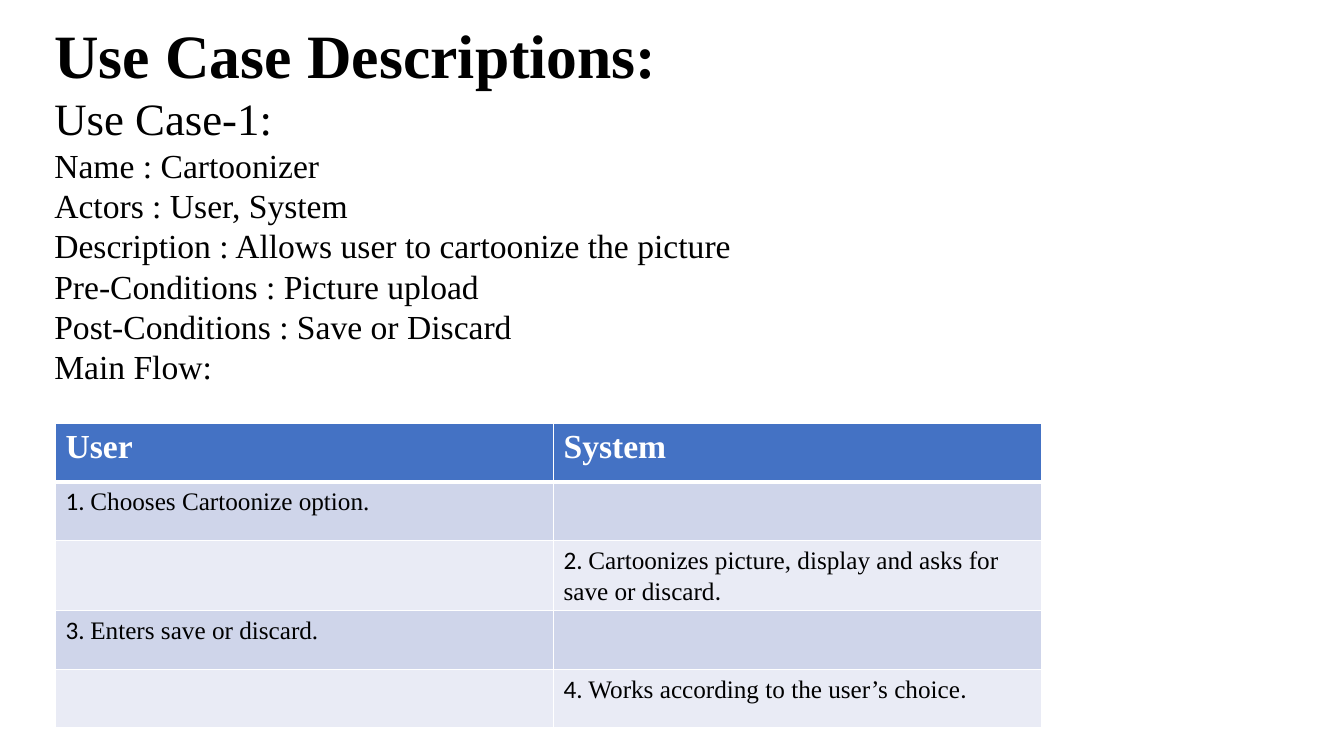
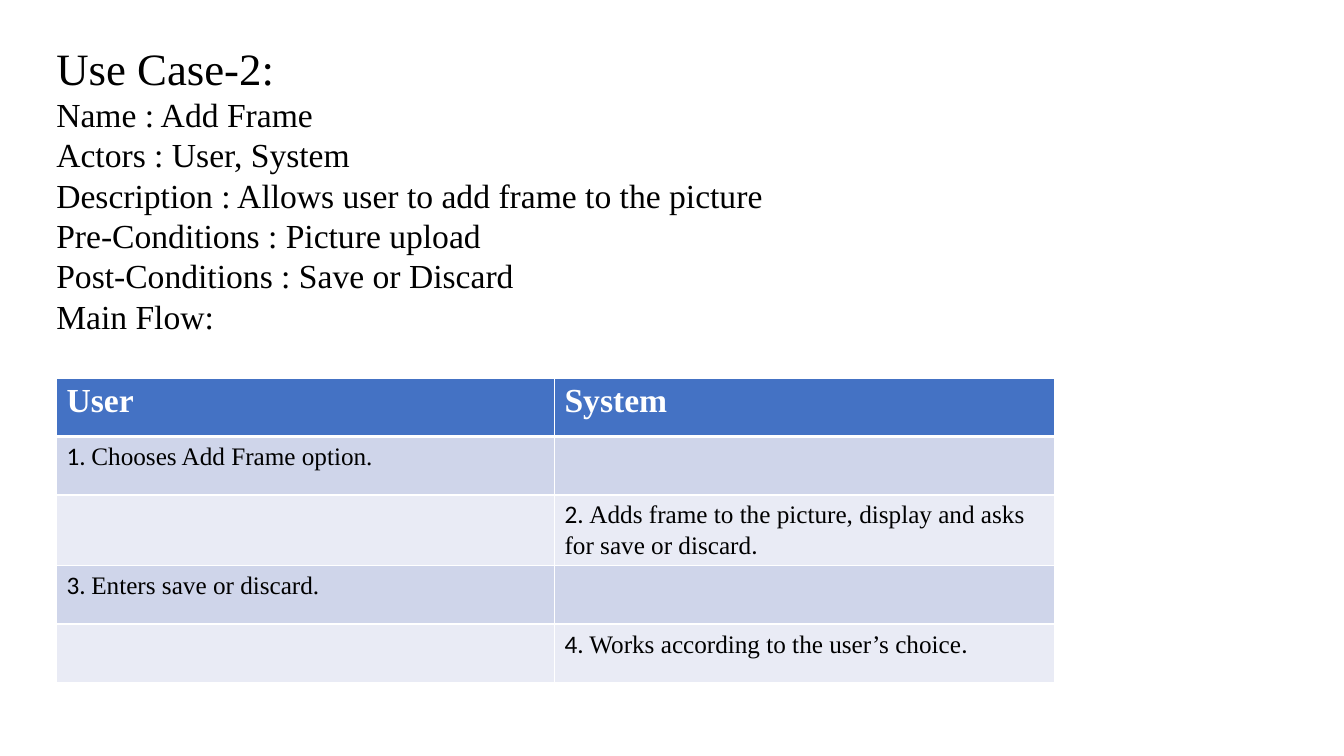
from dataclasses import dataclass

from lxml import etree
from pptx import Presentation
from pptx.dml.color import RGBColor
from pptx.oxml.ns import qn
from pptx.util import Inches, Pt


@dataclass(frozen=True)
class Theme:
    black: RGBColor = RGBColor(0x00, 0x00, 0x00)
    white: RGBColor = RGBColor(0xFF, 0xFF, 0xFF)
    header: RGBColor = RGBColor(0x44, 0x72, 0xC4)
    bands: tuple = (RGBColor(0xCF, 0xD5, 0xEA), RGBColor(0xE9, 0xEB, 0xF5))
    font: str = "Times New Roman"
    number_font: str = "Calibri"
    title: int = 44
    heading: int = 32
    body: int = 24
    step: int = 18
    rule: int = 1
    header_rule: int = 3


THEME = Theme()
BLANK_LAYOUT = 6
ACTORS = ("User", "System")
ROW_HEIGHT = 0.58


def set_font(font, size, color=THEME.black, bold=False):
    font.name = THEME.font
    font.size = Pt(size)
    font.color.rgb = color
    font.bold = bold


def add_description(slide, at, lines):
    """Add a text box of (text, size, bold) lines."""
    tf = slide.shapes.add_textbox(*map(Inches, at)).text_frame
    tf.word_wrap = True
    for i, (text, size, bold) in enumerate(lines):
        p = tf.paragraphs[0] if i == 0 else tf.add_paragraph()
        p.text = text
        set_font(p.font, size, bold=bold)


def style_cell(cell, fill, bottom=THEME.rule, top=THEME.rule):
    """Draw white borders, then fill the cell."""
    tcPr = cell._tc.get_or_add_tcPr()
    widths = {"lnL": THEME.rule, "lnR": THEME.rule, "lnT": top, "lnB": bottom}
    for side, width in widths.items():
        ln = etree.SubElement(tcPr, qn("a:" + side), w=str(Pt(width)))
        line_fill = etree.SubElement(ln, qn("a:solidFill"))
        etree.SubElement(line_fill, qn("a:srgbClr"), val=str(THEME.white))
    cell.fill.solid()
    cell.fill.fore_color.rgb = fill


def write_step(cell, number, text, stop_font):
    """Write a numbered step; number and full stop have their own fonts."""
    p = cell.text_frame.paragraphs[0]
    set_font(p.font, THEME.step)
    parts = ((f"{number}. ", THEME.number_font), (text, THEME.font), (".", stop_font))
    for part, font_name in parts:
        r = p.add_run()
        r.text = part
        set_font(r.font, THEME.step)
        r.font.name = font_name


def add_flow_table(slide, left, top, widths, steps):
    """Add the main flow: steps alternate between user and system."""
    rows = len(steps) + 1
    table = slide.shapes.add_table(
        rows, len(ACTORS), Inches(left), Inches(top),
        Inches(sum(widths)), Inches(ROW_HEIGHT * rows)).table
    for column, width in zip(table.columns, widths):
        column.width = Inches(width)
    for row in table.rows:
        row.height = Inches(ROW_HEIGHT)

    # Header row
    for col, actor in enumerate(ACTORS):
        cell = table.cell(0, col)
        style_cell(cell, THEME.header, bottom=THEME.header_rule)
        p = cell.text_frame.paragraphs[0]
        p.text = actor
        set_font(p.font, THEME.body, THEME.white, bold=True)

    # Step rows
    stop_fonts = (THEME.font, THEME.number_font)
    for number, text in enumerate(steps, start=1):
        turn = (number - 1) % len(ACTORS)
        top_rule = THEME.header_rule if number == 1 else THEME.rule
        for col in range(len(ACTORS)):
            style_cell(table.cell(number, col), THEME.bands[turn], top=top_rule)
        write_step(table.cell(number, turn), number, text, stop_fonts[turn])


def add_use_case(prs, number, name, purpose, action, text_at, table_at, widths, title=None):
    slide = prs.slides.add_slide(prs.slide_layouts[BLANK_LAYOUT])

    # Description
    details = (
        f"Name : {name}",
        "Actors : User, System",
        f"Description : Allows user to {purpose}",
        "Pre-Conditions : Picture upload",
        "Post-Conditions : Save or Discard",
        "Main Flow:",
    )
    lines = [(title, THEME.title, True)] if title else []
    lines.append((f"Use Case-{number}:", THEME.heading, False))
    lines += [(text, THEME.body, False) for text in details]
    add_description(slide, text_at, lines)

    # Main flow
    option = purpose.split()[0].capitalize() if number == 1 else name
    steps = (
        f"Chooses {option} option",
        f"{action}, display and asks for save or discard",
        "Enters save or discard",
        "Works according to the user’s choice",
    )
    add_flow_table(slide, *table_at, widths, steps)


def main():
    prs = Presentation()
    prs.slide_width = Inches(13.33)
    prs.slide_height = Inches(7.5)
    add_use_case(
        prs, 1, "Cartoonizer", "cartoonize the picture", "Cartoonizes picture",
        text_at=(0.44, 0.12, 13.01, 4.75), table_at=(0.55, 4.2),
        widths=(4.94, 4.84), title="Use Case Descriptions:")
    add_use_case(
        prs, 2, "Add Frame", "add frame to the picture", "Adds frame to the picture",
        text_at=(0.46, 0.35, 13.01, 4.01), table_at=(0.56, 3.75),
        widths=(4.94, 4.96))
    prs.save("out.pptx")


main()
